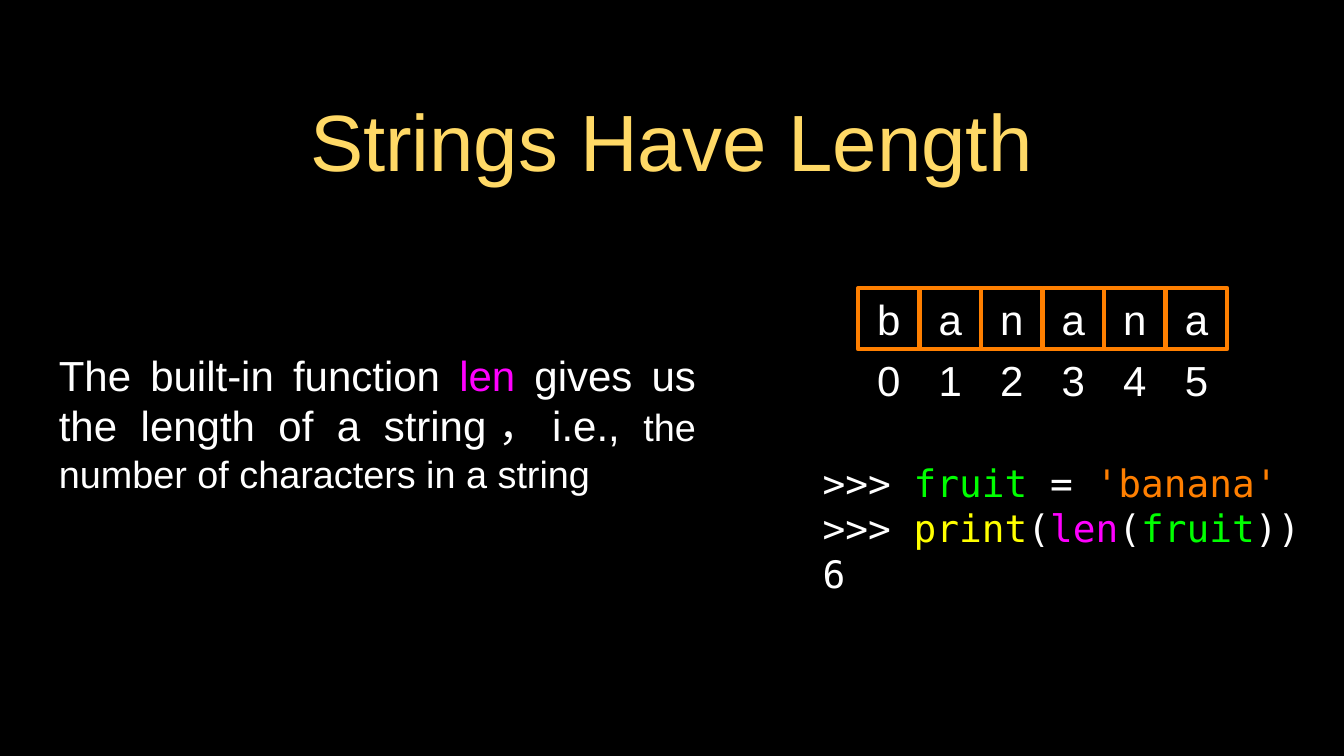
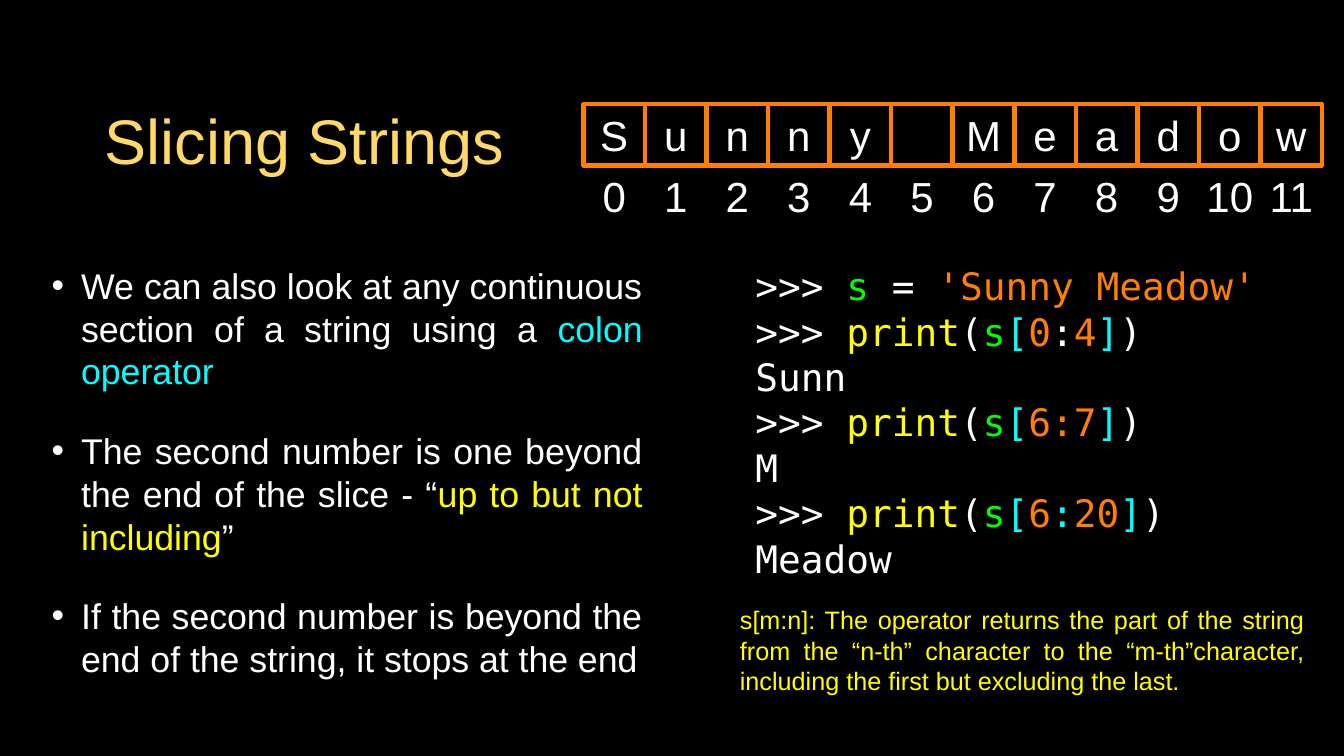
from dataclasses import dataclass
from typing import NamedTuple

from lxml.etree import SubElement as Sub
from pptx import Presentation
from pptx.dml.color import RGBColor as Rgb
from pptx.enum.shapes import MSO_SHAPE as Form
from pptx.enum.text import MSO_ANCHOR as Anchor, PP_ALIGN as Align
from pptx.oxml.ns import qn
from pptx.util import Inches, Pt

WIDE, HIGH = Inches(17.78), Inches(10)
HUES = {
    "black": "000000", "white": "FFFFFF", "gold": "FFD966", "orange": "FF7F00",
    "green": "00FF00", "pink": "FF00FF", "yellow": "FFFF00", "cyan": "00FFFF",
}
SANS, MONO = "Arial", "DejaVu Sans Mono"
TILE_W, TILE_H, PITCH = 4.56, 8.1, 4.58


class Area(NamedTuple):
    left: float
    top: float
    width: float
    height: float


class Run(NamedTuple):
    text: str
    hue: str = "white"
    size: float | None = None


Line = list[Run]


@dataclass
class Style:
    size: float
    face: str = SANS
    align: Align = Align.LEFT
    anchor: Anchor = Anchor.MIDDLE
    pad: tuple[float, float] = (0, 0)
    indent: float = 0
    hang: float = 0
    gap: float = 0
    bullet: str = ""


@dataclass
class Block:
    area: Area
    style: Style
    lines: list[Line]


@dataclass
class Word:
    left: float
    top: float
    text: str


def head(size: float) -> Style:
    return Style(size, align=Align.CENTER, pad=(0.04, 0.04))


GLYPH = Style(40, align=Align.CENTER)
CODE = Style(36, MONO)
PROSE = Style(40, align=Align.JUSTIFY, pad=(0.04, 0.04), indent=0.24)
POINTS = Style(34, align=Align.JUSTIFY, pad=(0.04, 0.04), indent=0.82,
               hang=-0.39, gap=35, bullet="•")
NOTE = Style(24, align=Align.JUSTIFY, anchor=Anchor.TOP, pad=(0.1, 0.05))

PROMPT = Run(">>> ")


def call(*parts: Run) -> Line:
    return [PROMPT, Run("print", "yellow"), Run("("), *parts, Run(")")]


def cut(*parts: Run) -> Line:
    return call(Run("s", "green"), Run("[", "cyan"), *parts, Run("]", "cyan"))


def store(name: str, value: str) -> Line:
    return [PROMPT, Run(name, "green"), Run(" = "), Run(value, "orange")]


def place(area: Area) -> tuple[int, int, int, int]:
    sides = (WIDE, HIGH, WIDE, HIGH)
    return tuple(round(side * part / 100) for side, part in zip(sides, area))


def tint(name: str) -> Rgb:
    return Rgb.from_string(HUES[name])


def mark(para, style: Style) -> None:
    props = para._p.get_or_add_pPr()
    props.set("marL", str(Inches(style.indent)))
    props.set("indent", str(Inches(style.hang)))
    if style.bullet:
        paint = Sub(props, qn("a:buClr"))
        Sub(paint, qn("a:srgbClr"), val=HUES["white"])
        Sub(props, qn("a:buFont"), typeface=SANS)
        Sub(props, qn("a:buChar"), char=style.bullet)


def write(shape, style: Style, lines: list[Line]) -> None:
    frame = shape.text_frame
    frame.word_wrap = True
    frame.vertical_anchor = style.anchor
    side, edge = (Inches(part) for part in style.pad)
    frame.margin_left = frame.margin_right = side
    frame.margin_top = frame.margin_bottom = edge
    for rank, line in enumerate(lines):
        para = frame.add_paragraph() if rank else frame.paragraphs[0]
        mark(para, style)
        para.alignment = style.align
        para.font.name, para.font.size = style.face, Pt(style.size)
        if rank and style.gap:
            para.space_before = Pt(style.gap)
        for text, hue, size in line:
            run = para.add_run()
            run.text = text
            run.font.color.rgb = tint(hue)
            if size:
                run.font.size = Pt(size)


def draw_block(slide, block: Block) -> None:
    box = slide.shapes.add_textbox(*place(block.area))
    write(box, block.style, block.lines)


def draw_word(slide, word: Word) -> None:
    for rank, sign in enumerate(word.text):
        area = Area(word.left + rank * PITCH, word.top, TILE_W, TILE_H)
        below = area._replace(top=word.top + TILE_H)
        draw_block(slide, Block(below, GLYPH, [[Run(str(rank))]]))
        tile = slide.shapes.add_shape(Form.RECTANGLE, *place(area))
        tile.shadow.inherit = False
        tile.fill.background()
        tile.line.color.rgb = tint("orange")
        tile.line.width = Pt(4)
        if sign.strip():
            write(tile, GLYPH, [[Run(sign)]])


LENGTH = [
    Block(Area(7.1, 9.1, 85.7, 18.7), head(76), [[Run("Strings Have Length", "gold")]]),
    Block(Area(2.8, 30.7, 49.2, 50.4), PROSE, [[
        Run("The built-in function "), Run("len ", "pink"),
        Run("gives us the length of a string，i.e., "),
        Run("the number of characters in a string", size=36),
    ]]),
    Block(Area(61.2, 60.7, 38.8, 18.2), CODE, [
        store("fruit", "'banana'"),
        call(Run("len", "pink"), Run("("), Run("fruit", "green"), Run(")")),
        [Run("6")],
    ]),
    Word(63.84, 38.1, "banana"),
]

PHRASE = "Sunny Meadow"
SLICING = [
    Block(Area(7.1, 9.1, 31.1, 18.7), head(60), [[Run("Slicing Strings", "gold")]]),
    Block(Area(1.2, 31.2, 46.85, 62.4), POINTS, [
        [Run("We can also look at any continuous section of a string using a "),
         Run("colon operator", "cyan")],
        [Run("The second number is one beyond the end of the slice - “"),
         Run("up to but not including", "yellow"), Run("”")],
        [Run("If the second number is beyond the end of the string, "
             "it stops at the end")],
    ]),
    Block(Area(56.2, 31.2, 40.3, 49.2), CODE, [
        store("s", f"'{PHRASE}'"),
        cut(Run("0", "orange"), Run(":"), Run("4", "orange")),
        [Run(PHRASE[0:4])],
        cut(Run("6:7", "orange")),
        [Run(PHRASE[6:7])],
        cut(Run("6", "orange"), Run(":", "cyan"), Run("20", "orange")),
        [Run(PHRASE[6:20])],
    ]),
    Word(43.42, 13.8, PHRASE),
    Block(Area(54.5, 79.5, 43.1, 13.1), NOTE, [[
        Run("s[m:n]: The operator returns the part of the string from the “n-th” "
            "character to the “m-th”character, including the first but excluding "
            "the last.", "yellow"),
    ]]),
]


def main() -> None:
    deck = Presentation()
    deck.slide_width, deck.slide_height = WIDE, HIGH
    back = deck.slide_master.background.fill
    back.solid()
    back.fore_color.rgb = tint("black")
    for items in (LENGTH, SLICING):
        slide = deck.slides.add_slide(deck.slide_layouts[6])
        for item in items:
            if isinstance(item, Word):
                draw_word(slide, item)
            else:
                draw_block(slide, item)
    deck.save("out.pptx")


if __name__ == "__main__":
    main()
